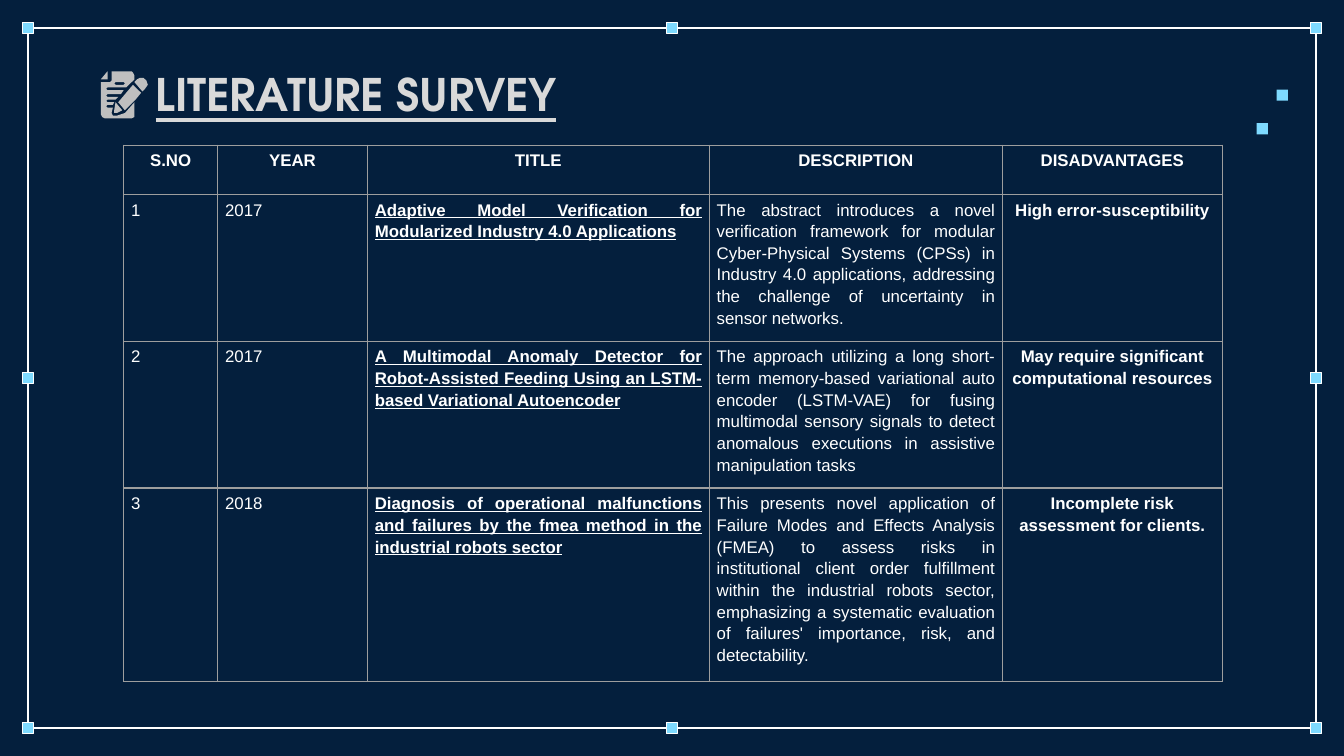
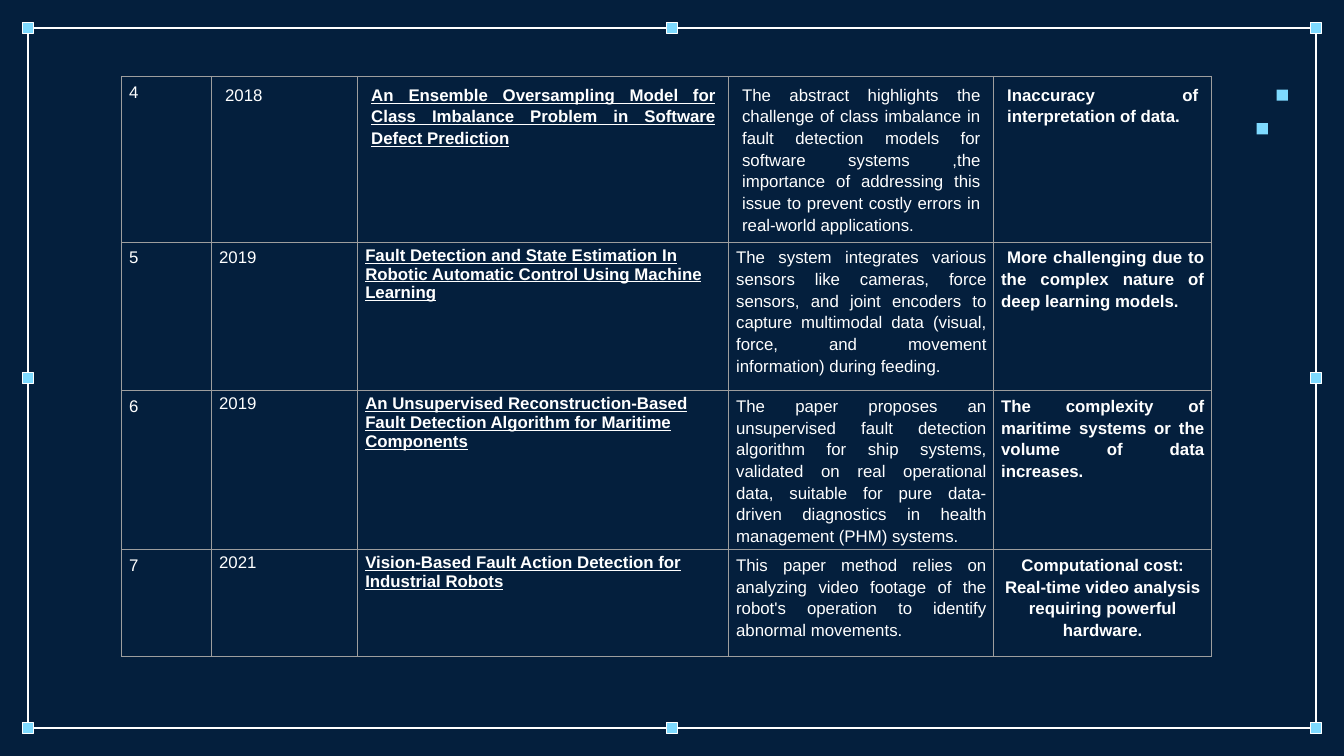
from itertools import product

from lxml.etree import SubElement
from pptx import Presentation
from pptx.dml.color import RGBColor
from pptx.enum.shapes import MSO_CONNECTOR, MSO_SHAPE
from pptx.enum.text import PP_ALIGN
from pptx.oxml.ns import qn
from pptx.util import Pt

HUES = {
    "back": "041F3D", "node": "7EDAFF", "white": "FFFFFF",
    "title": "D9D9D9", "icon": "BFBFBF", "grid": "9E9E9E",
}
BODY, HEAD = "Arial", "TeX Gyre Adventor"
SIDES = {"c": PP_ALIGN.CENTER, "j": PP_ALIGN.JUSTIFY, "l": PP_ALIGN.LEFT}

# Icon outlines, in hundredths of an inch from the icon corner
SHEET = [(8, 0), (8, 7), (7, 8), (0, 8), (0, 32), (1, 34), (3, 35), (23, 35),
         (25, 34), (25, 23), (18, 31), (12, 33), (9, 33), (8, 31), (9, 27),
         (5, 27), (4, 26), (5, 25), (9, 25), (10, 23), (5, 23), (4, 22),
         (5, 21), (11, 21), (13, 19), (5, 19), (4, 18), (5, 17), (15, 17),
         (17, 14), (5, 14), (4, 13), (5, 12), (19, 12), (25, 6), (25, 3),
         (24, 1), (23, 0)]
SLOT = [(11, 8), (17, 8), (18, 9), (17, 10), (11, 10), (10, 9)]
TIP = [(11, 23), (10, 29), (10, 31), (12, 31), (16, 29)]
CAP = [(29, 5), (27, 6), (25, 8), (31, 15), (33, 13), (35, 10), (34, 7), (32, 5)]
STEM = [(24, 10), (13, 23), (18, 29), (26, 21), (30, 16)]
FOLD = [(5, 0), (0, 6), (5, 6)]

# Each row: the alignment of its five cells, then their texts
FIRST = [
    ("ccccc", "S.NO", "YEAR", "TITLE", "DESCRIPTION", "DISADVANTAGES"),
    ("jjjjc", "1", "2017",
     "Adaptive Model Verification for Modularized Industry 4.0 Applications",
     "The abstract introduces a novel verification framework for modular "
     "Cyber-Physical Systems (CPSs) in Industry 4.0 applications, addressing "
     "the challenge of uncertainty in sensor networks.",
     "High error-susceptibility"),
    ("jjjjc", "2", "2017",
     "A Multimodal Anomaly Detector for Robot-Assisted Feeding Using an "
     "LSTM-based Variational Autoencoder",
     "The approach utilizing a long short-term memory-based variational auto "
     "encoder (LSTM-VAE) for fusing multimodal sensory signals to detect "
     "anomalous executions in assistive manipulation tasks",
     "May require significant computational resources"),
    ("jjjjc", "3", "2018",
     "Diagnosis of operational malfunctions and failures by the fmea method "
     "in the industrial robots sector",
     "This presents novel application of Failure Modes and Effects Analysis "
     "(FMEA) to assess risks in institutional client order fulfillment within "
     "the industrial robots sector, emphasizing a systematic evaluation of "
     "failures' importance, risk, and detectability.",
     "Incomplete risk assessment for clients."),
]
SECOND = [
    ("jjjjj", "4", "2018",
     "An Ensemble Oversampling Model for Class Imbalance Problem in Software "
     "Defect Prediction",
     "The abstract highlights the challenge of class imbalance in fault "
     "detection models for software systems ,the importance of addressing "
     "this issue to prevent costly errors in real-world applications.",
     "Inaccuracy of interpretation of data."),
    ("jjljj", "5", "2019",
     "Fault Detection and State Estimation In Robotic Automatic Control Using "
     "Machine Learning",
     "The system integrates various sensors like cameras, force sensors, and "
     "joint encoders to capture multimodal data (visual, force, and movement "
     "information) during feeding.",
     " More challenging due to the complex nature of deep learning models."),
    ("jlljj", "6", "2019",
     "An Unsupervised Reconstruction-Based Fault Detection Algorithm for "
     "Maritime Components",
     "The paper proposes an unsupervised fault detection algorithm for ship "
     "systems, validated on real operational data, suitable for pure "
     "data-driven diagnostics in health management (PHM) systems.",
     "The complexity of maritime systems or the volume of data increases."),
    ("jlljc", "7", "2021",
     "Vision-Based Fault Action Detection for\nIndustrial Robots",
     "This paper method relies on analyzing video footage of the robot's "
     "operation to identify abnormal movements.",
     "Computational cost: Real-time video analysis requiring "
     "powerful hardware."),
]


def hue(name):
    return RGBColor.from_string(HUES[name])


def write(frame, text, font=BODY, size=9, color="white", bold=False,
          under=False, side="l", space=None, edge=None):
    """Fill a text frame, one paragraph for each line of text."""
    frame.word_wrap = True
    for i, line in enumerate(text.split("\n")):
        para = frame.add_paragraph() if i else frame.paragraphs[0]
        para.alignment = SIDES[side]
        if space:
            para.line_spacing = space
        run = para.add_run()
        run.text = line
        face = run.font
        if edge:
            rim(face._element if hasattr(face, "_element") else run._r.get_or_add_rPr(),
                "a:ln", edge)
        face.name, face.size = font, Pt(size)
        face.bold, face.underline = bold, under
        face.color.rgb = hue(color)


def rim(node, tag, color):
    """Add a thin solid line to a run or a cell edge."""
    line = SubElement(node, qn(tag), w=str(Pt(0.75)))
    fill = SubElement(line, qn("a:solidFill"))
    SubElement(fill, qn("a:srgbClr"), val=HUES[color])


def node(shapes, x, y, edge=False, size=6):
    box = shapes.add_shape(MSO_SHAPE.RECTANGLE, Pt(x), Pt(y), Pt(size), Pt(size))
    box.shadow.inherit = False
    box.fill.solid()
    box.fill.fore_color.rgb = hue("node")
    if edge:
        box.line.color.rgb = hue("white")
        box.line.width = Pt(0.75)
    else:
        box.line.fill.background()


def link(shapes, x1, y1, x2, y2):
    line = shapes.add_connector(MSO_CONNECTOR.STRAIGHT, Pt(x1), Pt(y1), Pt(x2), Pt(y2))
    line.line.color.rgb = hue("white")
    line.line.width = Pt(0.75)
    SubElement(line._element.spPr, qn("a:effectLst"))


def border(slide, left, top, width, height):
    """Selection frame: eight handles joined by lines, and two loose dots."""
    shapes = slide.shapes.add_group_shape().shapes
    xs = [left + width * i / 2 for i in range(3)]
    ys = [top + height * i / 2 for i in range(3)]
    for x, y in product(xs, ys):
        if (x, y) != (xs[1], ys[1]):
            node(shapes, x - 3, y - 3, edge=True)
    for i, y in product(range(2), (ys[0], ys[2])):
        link(shapes, xs[i] + 3, y, xs[i + 1] - 3, y)
    for i, x in product(range(2), (xs[0], xs[2])):
        link(shapes, x, ys[i] + 3, x, ys[i + 1] - 3)
    dots = slide.shapes.add_group_shape().shapes
    node(dots, left + width - 21, top + 33)
    node(dots, left + width - 31.8, top + 51)


def icon(slide, left, top):
    """Sheet of paper with a pencil."""
    shapes = slide.shapes.add_group_shape().shapes
    for rings in ([SHEET, SLOT], [TIP], [CAP], [STEM], [FOLD]):
        pen = shapes.build_freeform(*rings[0][0], scale=Pt(0.72))
        for i, ring in enumerate(rings):
            if i:
                pen.move_to(*ring[0])
            pen.add_line_segments(ring[1:], close=True)
        part = pen.convert_to_shape(Pt(left), Pt(top))
        part.shadow.inherit = False
        part.fill.solid()
        part.fill.fore_color.rgb = hue("icon")
        part.line.fill.background()


def title(slide, text, left, top, width, height):
    icon(slide, left, top + 5.8)
    box = slide.shapes.add_textbox(Pt(left + 22.3), Pt(top), Pt(width), Pt(height))
    write(box.text_frame, text, font=HEAD, size=24, color="title",
          bold=True, under=True, edge="icon")
    box.text_frame.word_wrap = False


def survey(slide, rows, left, top, cols, highs, head=False, roomy=False):
    """Survey table; roomy gives the first row wider margins after its number."""
    grid = slide.shapes.add_table(len(rows), len(cols), Pt(left), Pt(top),
                                  Pt(sum(cols)), Pt(sum(highs))).table
    grid.first_row = grid.horz_banding = False
    for col, width in zip(grid.columns, cols):
        col.width = Pt(width)
    for r, (sides, *texts) in enumerate(rows):
        grid.rows[r].height = Pt(highs[r])
        top_row = head and r == 0
        for c, (side, text) in enumerate(zip(sides, texts)):
            cell = grid.cell(r, c)
            wide = roomy and r == 0 and c > 0
            cell.margin_left = cell.margin_right = Pt(7.2 if wide else 4)
            cell.margin_top = cell.margin_bottom = Pt(3.6 if wide else 2)
            for tag in ("a:lnL", "a:lnR", "a:lnT", "a:lnB"):
                rim(cell._tc.get_or_add_tcPr(), tag, "grid")
            cell.fill.background()
            write(cell.text_frame, text, side=side,
                  space=None if side == "l" else 1.15,
                  bold=top_row or c in (2, 4), under=c == 2 and not top_row)


def page(deck):
    slide = deck.slides.add_slide(deck.slide_layouts[6])
    slide.background.fill.solid()
    slide.background.fill.fore_color.rgb = hue("back")
    border(slide, 15, 15, 690, 375)
    return slide


def main():
    deck = Presentation()
    deck.slide_width, deck.slide_height = Pt(720), Pt(405)

    # Slide 1: heading and first rows
    slide = page(deck)
    title(slide, "LITERATURE SURVEY", 54, 32.4, 275.8, 36)
    survey(slide, FIRST, 66.2, 77.8, [50.4, 80.2, 183.2, 157, 117.8],
           [26.3, 78.7, 78.7, 103.4], head=True)

    # Slide 2: remaining rows
    slide = page(deck)
    survey(slide, SECOND, 65.2, 41, [48.2, 78.3, 198.7, 142, 116.7],
           [88.8, 79.6, 85.2, 57], roomy=True)

    deck.save("out.pptx")


if __name__ == "__main__":
    main()
